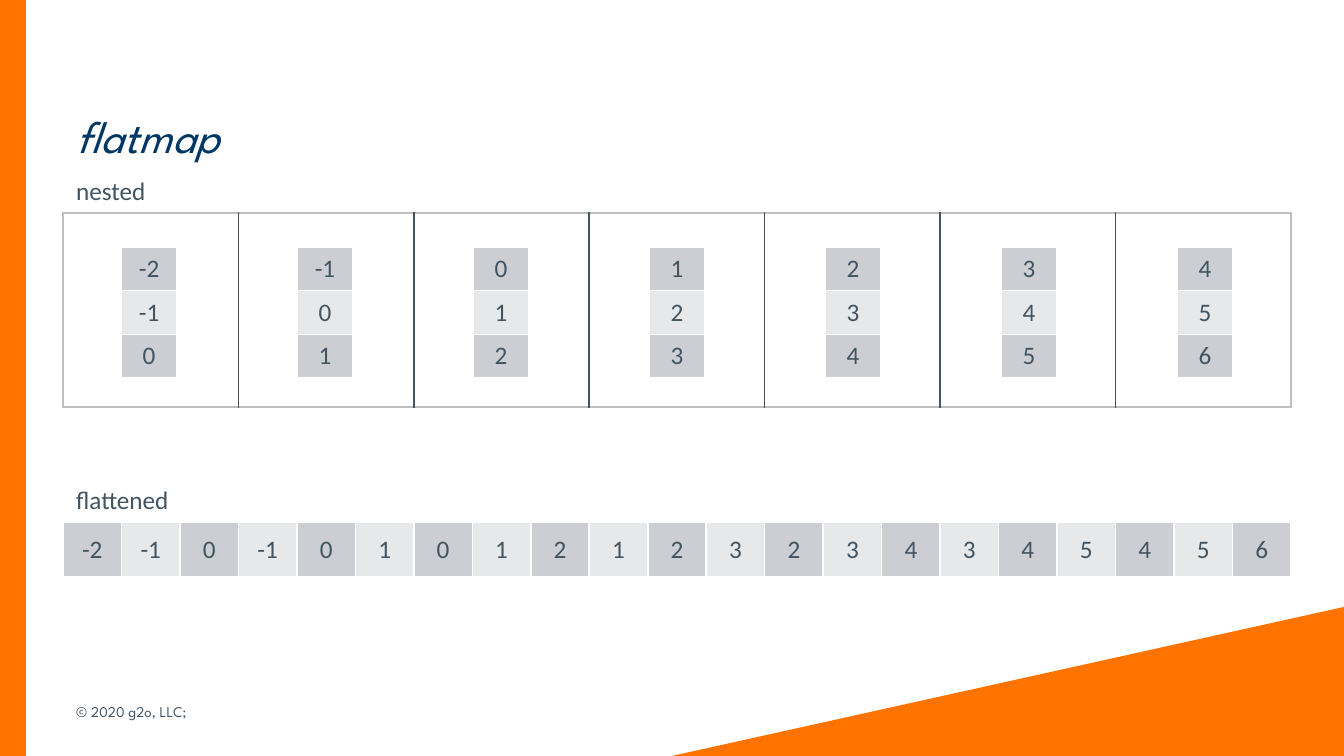
from lxml.etree import SubElement
from pptx import Presentation
from pptx.dml.color import RGBColor
from pptx.enum.shapes import MSO_SHAPE
from pptx.enum.text import MSO_ANCHOR, PP_ALIGN
from pptx.oxml.ns import qn
from pptx.util import Pt

EMU_PER_PX = 914400 / 134.4
COLORS = {
    "orange": "FF7400",
    "navy": "003765",
    "slate": "415462",
    "footer": "425563",
    "frame": "BFBFBF",
    "white": "FFFFFF",
    "dark_cell": "CCCED3",
    "light_cell": "E7E8EA",
}
LEFT, WIDTH = 63, 1228
NESTED = [[n, n + 1, n + 2] for n in range(-2, 5)]


def px(n):
    return round(n * EMU_PER_PX)


def rgb(name):
    return RGBColor.from_string(COLORS[name])


def add_block(s, kind, x, y, w, h):
    sp = s.shapes.add_shape(kind, px(x), px(y), px(w), px(h))
    sp.shadow.inherit = False
    sp.fill.solid()
    sp.fill.fore_color.rgb = rgb("orange")
    sp.line.fill.background()
    return sp


def set_font(p, size, color, name="Calibri"):
    p.font.size = Pt(size)
    p.font.name = name
    p.font.color.rgb = rgb(color)


def add_text(s, text, x, y, w, h, size, color, name="Calibri",
             anchor=MSO_ANCHOR.TOP, wrap=True):
    tf = s.shapes.add_textbox(px(x), px(y), px(w), px(h)).text_frame
    tf.word_wrap = wrap
    tf.vertical_anchor = anchor
    p = tf.paragraphs[0]
    p.text = text
    set_font(p, size, color, name)
    return p


def set_borders(cell, **sides):
    """Draw 1 pt borders; sides maps L, R, T and B to colour names."""
    tcPr = cell._tc.get_or_add_tcPr()
    for side in "LRTB":
        ln = SubElement(tcPr, qn(f"a:ln{side}"), w=str(Pt(1)))
        fill = SubElement(ln, qn("a:solidFill"))
        SubElement(fill, qn("a:srgbClr"), val=COLORS[sides[side]])


def add_plain_table(s, rows, cols, x, y, w, h):
    table = s.shapes.add_table(rows, cols, px(x), px(y), px(w), px(h)).table
    table.first_row = False
    table.horz_banding = False
    return table


def add_frame(s, cols, x, y, w, h):
    """Empty row with a pale outline and dark dividers."""
    table = add_plain_table(s, 1, cols, x, y, w, h)
    for i, cell in enumerate(table.iter_cells()):
        set_borders(cell, T="frame", B="frame",
                    L="slate" if i else "frame",
                    R="slate" if i < cols - 1 else "frame")
        cell.fill.background()


def add_array(s, values, x, y, w, h, vertical=False):
    """Row or column of numbers in alternating greys."""
    n = len(values)
    rows, cols = (n, 1) if vertical else (1, n)
    table = add_plain_table(s, rows, cols, x, y, w, h)
    for i, (cell, value) in enumerate(zip(table.iter_cells(), values)):
        set_borders(cell, **dict.fromkeys("LRTB", "white"))
        cell.fill.solid()
        cell.fill.fore_color.rgb = rgb("light_cell" if i % 2 else "dark_cell")
        cell.margin_left = cell.margin_right = 0
        cell.margin_top = cell.margin_bottom = 0
        cell.vertical_anchor = MSO_ANCHOR.MIDDLE
        p = cell.text_frame.paragraphs[0]
        p.text = str(value)
        p.alignment = PP_ALIGN.CENTER
        set_font(p, 13.5, "slate")


def main():
    prs = Presentation()
    prs.slide_width, prs.slide_height = px(1344), px(756)
    s = prs.slides.add_slide(prs.slide_layouts[6])

    corner = add_block(s, MSO_SHAPE.ISOSCELES_TRIANGLE, 672, 607, 672, 149)
    corner.adjustments[0] = 1
    add_block(s, MSO_SHAPE.RECTANGLE, 0, 0, 26, 756)

    title = add_text(s, "flatmap", LEFT, 79, WIDTH, 106, 24, "navy",
                     "League Spartan", MSO_ANCHOR.MIDDLE)
    title.font.italic = True
    title.line_spacing = 1.14
    title.space_after = Pt(6)
    add_text(s, "© 2020 g2o, LLC;", LEFT, 692, 358, 40, 8, "footer",
             "League Spartan", MSO_ANCHOR.MIDDLE)

    add_text(s, "nested", LEFT, 169, 97, 44, 13.5, "slate", wrap=False)
    add_frame(s, len(NESTED), LEFT, 213, WIDTH, 194)
    for i, triple in enumerate(NESTED):
        add_array(s, triple, 121 + 176 * i, 247, 56, 131, vertical=True)

    add_text(s, "flattened", LEFT, 478, 121, 44, 13.5, "slate", wrap=False)
    add_array(s, sum(NESTED, []), LEFT, 522, WIDTH, 55)

    prs.save("out.pptx")


if __name__ == "__main__":
    main()
